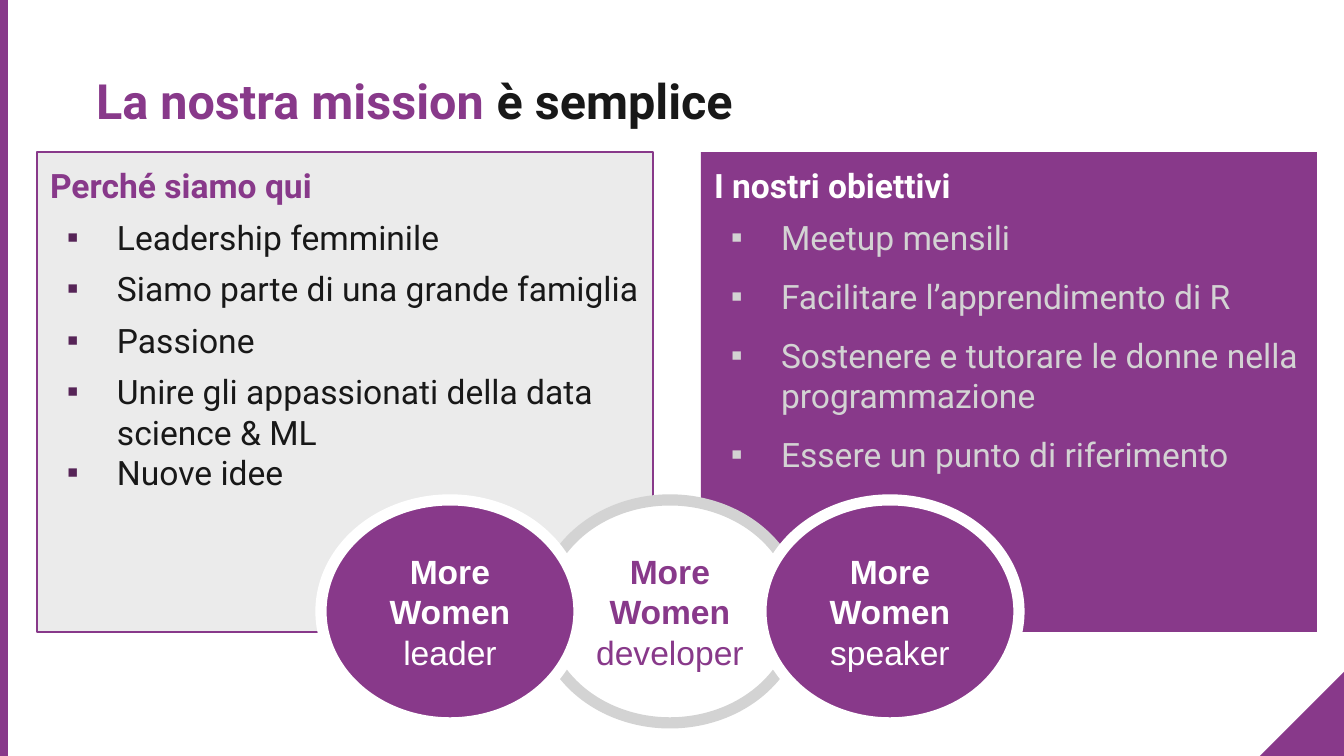
from dataclasses import dataclass

from lxml.etree import SubElement
from pptx import Presentation
from pptx.dml.color import RGBColor
from pptx.enum.shapes import MSO_SHAPE
from pptx.enum.text import MSO_ANCHOR, MSO_AUTO_SIZE, PP_ALIGN
from pptx.oxml.ns import qn
from pptx.util import Emu, Pt

PURPLE = RGBColor(0x88, 0x39, 0x8A)
PLUM = RGBColor(0x56, 0x24, 0x57)
SILVER = RGBColor(0xD3, 0xD3, 0xD3)
INK = RGBColor(0x18, 0x18, 0x18)
WHITE = RGBColor(0xFF, 0xFF, 0xFF)

PAGE_WIDTH, PAGE_HEIGHT = 1344, 756
EMU_PER_PX = 9144000 / PAGE_WIDTH
INSET = 13
BULLET_MARGIN, BULLET_HANG = 67, 50
PANEL_TOP, PANEL_WIDTH, PANEL_HEIGHT = 152, 616, 480
CIRCLE_LEFT, CIRCLE_TOP, CIRCLE_PITCH = 321, 500, 220
CIRCLE_WIDTH, CIRCLE_HEIGHT = 258, 223


@dataclass(frozen=True)
class Item:
    text: str
    before: int = 6
    after: int = 0


@dataclass(frozen=True)
class Panel:
    left: int
    heading: str
    items: tuple[Item, ...]
    fill: RGBColor
    heading_color: RGBColor
    text_color: RGBColor
    bullet_color: RGBColor
    opacity: int = 100
    outline: RGBColor | None = None


@dataclass(frozen=True)
class Circle:
    column: int
    role: str
    fill: RGBColor
    outline: RGBColor
    text_color: RGBColor


PANELS = (
    Panel(37, "Perché siamo qui", (
        Item("Leadership femminile"),
        Item("Siamo parte di una grande famiglia"),
        Item("Passione"),
        Item("Unire gli appassionati della data science & ML"),
        Item("Nuove idee", before=0),
    ), SILVER, PURPLE, INK, PLUM, opacity=44, outline=PURPLE),
    Panel(701, "I nostri obiettivi", (
        Item("Meetup mensili"),
        Item("Facilitare l’apprendimento di R", before=10),
        Item("Sostenere e tutorare le donne nella programmazione", before=10),
        Item("Essere un punto di riferimento", before=10, after=10),
    ), PURPLE, WHITE, SILVER, SILVER),
)

# The middle circle lies behind its neighbours.
CIRCLES = (
    Circle(1, "developer", WHITE, SILVER, PURPLE),
    Circle(0, "leader", PURPLE, WHITE, WHITE),
    Circle(2, "speaker", PURPLE, WHITE, WHITE),
)


def px(value: int) -> Emu:
    return Emu(round(value * EMU_PER_PX))


def place(box, left: int, top: int, width: int, height: int) -> None:
    box.left, box.top = px(left), px(top)
    box.width, box.height = px(width), px(height)


def prepare_frame(box, anchor: MSO_ANCHOR):
    frame = box.text_frame
    frame.word_wrap = True
    frame.auto_size = MSO_AUTO_SIZE.NONE
    frame.vertical_anchor = anchor
    frame.margin_left = frame.margin_right = px(INSET)
    frame.margin_top = frame.margin_bottom = px(INSET)
    return frame


def set_font(font, name: str, size: int, color: RGBColor, bold: bool) -> None:
    font.name, font.size, font.bold = name, Pt(size), bold
    font.color.rgb = color


def set_bullet(para, color: RGBColor | None) -> None:
    """Give the paragraph a square bullet, or none when there is no color."""
    props = para._p.get_or_add_pPr()
    props.set("marL", str(px(BULLET_MARGIN) if color else 0))
    props.set("indent", str(-px(BULLET_HANG) if color else 0))
    if color is None:
        SubElement(props, qn("a:buNone"))
        return
    bullet_color = SubElement(props, qn("a:buClr"))
    SubElement(bullet_color, qn("a:srgbClr"), val=str(color))
    SubElement(props, qn("a:buChar"), char="▪")


def add_shape(page, kind: MSO_SHAPE, bounds: tuple[int, ...], fill: RGBColor):
    box = page.shapes.add_shape(kind, *map(px, bounds))
    box.shadow.inherit = False
    box.fill.solid()
    box.fill.fore_color.rgb = fill
    box.line.fill.background()
    return box


def write_title(title) -> None:
    place(title, 83, 58, 851, 79)
    para = prepare_frame(title, MSO_ANCHOR.TOP).paragraphs[0]
    para.alignment = PP_ALIGN.LEFT
    for text, color in (("La nostra mission ", PURPLE), ("è semplice", INK)):
        span = para.add_run()
        span.text = text
        set_font(span.font, "Roboto", 26, color, True)


def write_panel(box, panel: Panel) -> None:
    place(box, panel.left, PANEL_TOP, PANEL_WIDTH, PANEL_HEIGHT)
    box.fill.solid()
    box.fill.fore_color.rgb = panel.fill
    if panel.opacity < 100:
        color = box._element.spPr.find(f"{qn('a:solidFill')}/{qn('a:srgbClr')}")
        SubElement(color, qn("a:alpha"), val=str(panel.opacity * 1000))
    if panel.outline is not None:
        box.line.color.rgb = panel.outline
        box.line.width = Pt(0.75)

    frame = prepare_frame(box, MSO_ANCHOR.TOP)
    heading = frame.paragraphs[0]
    heading.text = panel.heading
    set_bullet(heading, None)
    heading.space_before = Pt(0)
    set_font(heading.font, "Roboto", 18, panel.heading_color, True)
    for item in panel.items:
        para = frame.add_paragraph()
        para.text = item.text
        set_bullet(para, panel.bullet_color)
        para.space_before, para.space_after = Pt(item.before), Pt(item.after)
        set_font(para.font, "Roboto", 18, panel.text_color, False)


def draw_circle(page, circle: Circle) -> None:
    left = CIRCLE_LEFT + circle.column * CIRCLE_PITCH
    bounds = (left, CIRCLE_TOP, CIRCLE_WIDTH, CIRCLE_HEIGHT)
    box = add_shape(page, MSO_SHAPE.OVAL, bounds, circle.fill)
    box.line.color.rgb = circle.outline
    box.line.width = Pt(6)
    para = prepare_frame(box, MSO_ANCHOR.MIDDLE).paragraphs[0]
    para.alignment = PP_ALIGN.CENTER
    for text, bold in (("More Women ", True), (circle.role, False)):
        span = para.add_run()
        span.text = text
        set_font(span.font, "Arial", 18, circle.text_color, bold)


def main() -> None:
    deck = Presentation()
    deck.slide_width, deck.slide_height = px(PAGE_WIDTH), px(PAGE_HEIGHT)
    page = deck.slides.add_slide(deck.slide_layouts.get_by_name("Two Content"))

    add_shape(page, MSO_SHAPE.RECTANGLE, (0, 0, 8, PAGE_HEIGHT), PURPLE)
    corner = add_shape(page, MSO_SHAPE.RIGHT_TRIANGLE, (1260, 672, 84, 84), PURPLE)
    corner._element.spPr.xfrm.set("flipH", "1")

    title, *bodies = page.placeholders
    write_title(title)
    for body, panel in zip(bodies, PANELS):
        write_panel(body, panel)
    for circle in CIRCLES:
        draw_circle(page, circle)
    deck.save("out.pptx")


if __name__ == "__main__":
    main()
